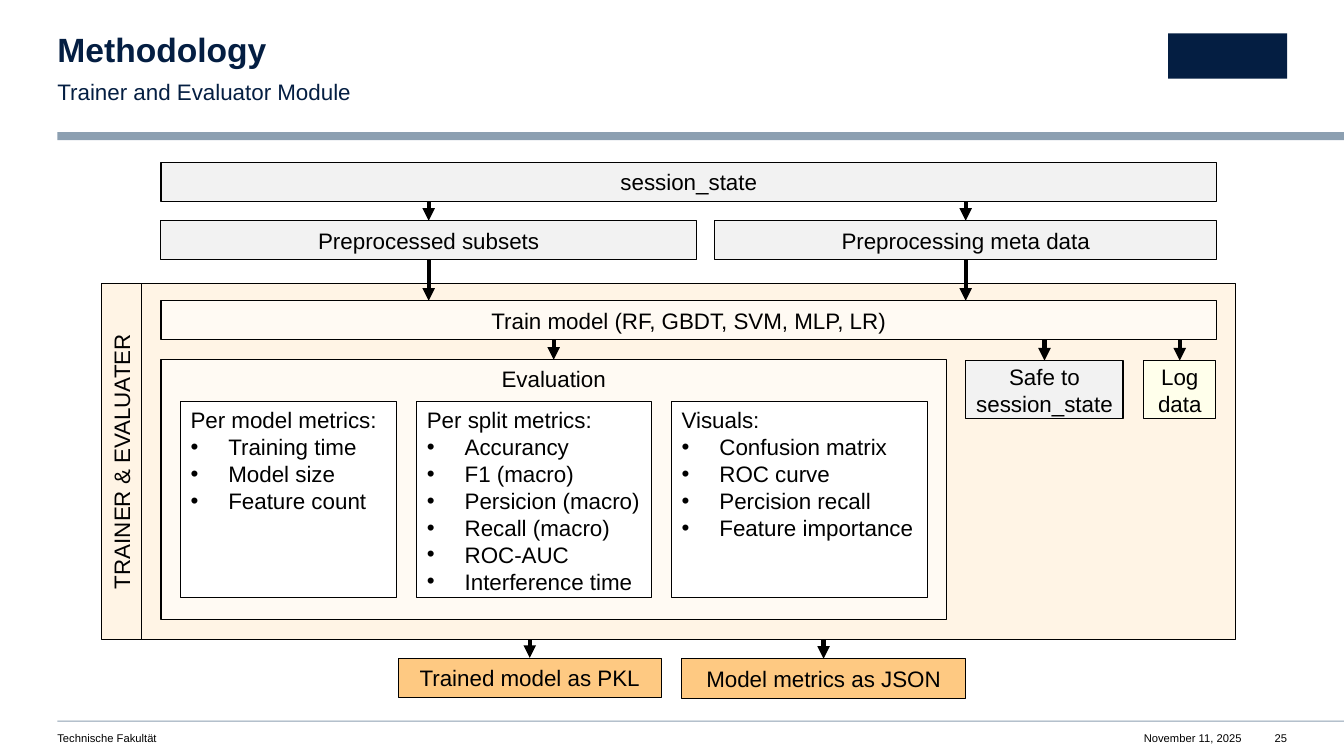
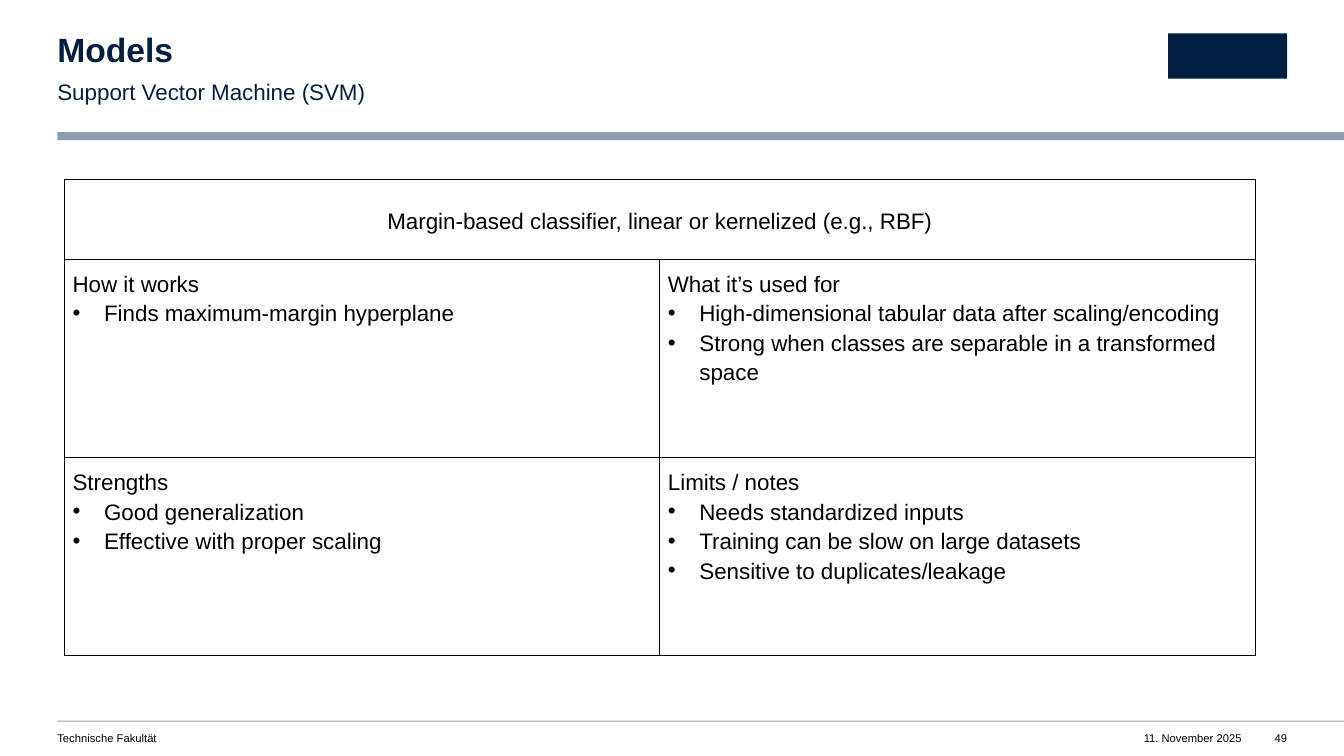
import pptx
import pptx.dml.color
import pptx.enum.shapes
import pptx.enum.text
import pptx.oxml.ns
import pptx.util
from lxml import etree

Pt = pptx.util.Pt
ALIGN = pptx.enum.text.PP_ALIGN
ANCHOR = pptx.enum.text.MSO_ANCHOR

FONT = "Arial"
BLACK, NAVY, STEEL = "000000", "041E42", "8C9FB1"
GREY, CREAM, PEACH, ORANGE = "F2F2F2", "FFFAF3", "FFF4E5", "FEC982"
YELLOW, WHITE = "FFFFEB", "FFFFFF"

PAGE_WIDTH, PAGE_HEIGHT = 960, 540
MARGIN = 41
RIGHT_EDGE = 919.4
FACULTY = "Technische Fakultät"

# name: (lines, left, top, width, height, fill)
FLOW_BOXES = {
    "module": ([], 100.8, 202.3, 782, 254.7, PEACH),
    "session": (["session_state"], 115, 116, 754, 28, GREY),
    "subsets": (["Preprocessed subsets"], 115, 157.7, 382.4, 28, GREY),
    "meta": (["Preprocessing meta data"], 510.4, 157.7, 358.8, 28, GREY),
    "train": (["Train model (RF, GBDT, SVM, MLP, LR)"], 115, 214.8, 754, 28, CREAM),
    "evaluation": (["Evaluation"], 115, 257, 561, 185.6, CREAM),
    "save": (["Safe to", "session_state"], 690, 257.6, 112.2, 41.6, GREY),
    "log": (["Log data"], 816.8, 257.6, 51.8, 41.6, YELLOW),
    "pickle": (["Trained model as PKL"], 284.4, 470, 188, 28.2, ORANGE),
    "json": (["Model metrics as JSON"], 486.8, 470.6, 203, 28.2, ORANGE),
}
SIDE_LABEL = "TRAINER & EVALUATER"
SIDE_WIDTH = 28.4

# (upper box, lower box, the box whose centre the arrow follows)
FLOW_ARROWS = [
    ("session", "subsets", "subsets"),
    ("session", "meta", "meta"),
    ("subsets", "train", "subsets"),
    ("meta", "train", "meta"),
    ("train", "evaluation", "evaluation"),
    ("train", "save", "save"),
    ("train", "log", "log"),
    ("module", "pickle", "pickle"),
    ("module", "json", "json"),
]

# (width, heading, bullets)
METRICS = [
    (154.4, "Per model metrics:", ["Training time", "Model size", "Feature count"]),
    (167.6, "Per split metrics:", ["Accurancy", "F1 (macro)", "Persicion (macro)",
                                   "Recall (macro)", "ROC-AUC", "Interference time"]),
    (182.4, "Visuals:", ["Confusion matrix", "ROC curve", "Percision recall",
                         "Feature importance"]),
]
METRIC_LEFT, METRIC_TOP, METRIC_HEIGHT, METRIC_GAP = 129, 286.8, 140, 14.4

SVM_SUMMARY = "Margin-based classifier, linear or kernelized (e.g., RBF)"
SVM_CELLS = [
    ("How it works", ["Finds maximum-margin hyperplane"]),
    ("What it’s used for", ["High-dimensional tabular data after scaling/encoding",
                            "Strong when classes are separable in a transformed space"]),
    ("Strengths", ["Good generalization", "Effective with proper scaling"]),
    ("Limits / notes", ["Needs standardized inputs",
                        "Training can be slow on large datasets",
                        "Sensitive to duplicates/leakage"]),
]
GRID_LEFT, GRID_TOP, SUMMARY_HEIGHT = 46.2, 128.2, 57
CELL_WIDTH, CELL_HEIGHT = 425.2, 141.6


def color(value):
    return pptx.dml.color.RGBColor.from_string(value)


def set_bullet(para, indent):
    """Hang a bullet by indent points, or clear the inherited one when it is 0."""
    properties = para._p.get_or_add_pPr()
    properties.set("marL", str(int(Pt(indent))))
    properties.set("indent", str(-int(Pt(indent))))
    if indent:
        etree.SubElement(properties, pptx.oxml.ns.qn("a:buFont"), typeface=FONT)
        etree.SubElement(properties, pptx.oxml.ns.qn("a:buChar"), char="•")
    else:
        etree.SubElement(properties, pptx.oxml.ns.qn("a:buNone"))


def write(shape, lines, bullets=(), size=16, ink=BLACK, bold=False, align=ALIGN.LEFT,
          anchor=ANCHOR.TOP, insets=(7.2, 3.6, 7.2, 3.6), spacing=1.0, indent=27):
    """Write plain lines followed by bulleted ones."""
    frame = shape.text_frame
    frame.word_wrap = True
    frame.auto_size = pptx.enum.text.MSO_AUTO_SIZE.NONE
    frame.vertical_anchor = anchor
    (frame.margin_left, frame.margin_top,
     frame.margin_right, frame.margin_bottom) = map(Pt, insets)
    entries = [(line, 0) for line in lines] + [(line, indent) for line in bullets]
    for number, (line, hang) in enumerate(entries):
        para = frame.add_paragraph() if number else frame.paragraphs[0]
        set_bullet(para, hang)
        para.alignment = align
        para.line_spacing = spacing
        para.space_before = Pt(0)
        span = para.add_run()
        span.text = line
        span.font.name = FONT
        span.font.size = Pt(size)
        span.font.bold = bold
        span.font.color.rgb = color(ink)


def add_box(page, left, top, width, height, fill=None, outline=BLACK):
    box = page.shapes.add_shape(pptx.enum.shapes.MSO_SHAPE.RECTANGLE,
                                Pt(left), Pt(top), Pt(width), Pt(height))
    box.shadow.inherit = False
    if fill:
        box.fill.solid()
        box.fill.fore_color.rgb = color(fill)
    else:
        box.fill.background()
    if outline:
        box.line.color.rgb = color(outline)
        box.line.width = Pt(0.75)
    else:
        box.line.fill.background()
    return box


def add_arrow(page, upper, lower, guide):
    """Point straight down from upper to lower at the centre of guide."""
    x = guide.left + guide.width // 2
    arrow = page.shapes.add_connector(pptx.enum.shapes.MSO_CONNECTOR.STRAIGHT,
                                      x, upper.top + upper.height, x, lower.top)
    if guide is upper:
        arrow.begin_connect(upper, 2)
    else:
        arrow.end_connect(lower, 0)
    arrow.line.color.rgb = color(BLACK)
    arrow.line.width = Pt(3)
    etree.SubElement(arrow.line._get_or_add_ln(), pptx.oxml.ns.qn("a:tailEnd"),
                     type="triangle")
    etree.SubElement(arrow._element.spPr, pptx.oxml.ns.qn("a:effectLst"))


def add_page(deck, title, subtitle, date, number):
    page = deck.slides.add_slide(deck.slide_layouts[1])
    for top, height in ((94.3, 5.8), (514.8, 0.7)):
        add_box(page, MARGIN, top, PAGE_WIDTH - MARGIN, height, STEEL, None)
    add_box(page, RIGHT_EDGE - 85, 23.8, 85, 32.4, NAVY, None)

    headings = [
        (page.shapes.title, title, 23.8, 26, dict(size=24, bold=True, spacing=0.9)),
        (page.placeholders[1], subtitle, 54, 19.4, dict(spacing=1.1)),
    ]
    for holder, text, top, height, style in headings:
        holder.left, holder.top = Pt(MARGIN), Pt(top)
        holder.width, holder.height = Pt(539), Pt(height)
        write(holder, [text], ink=NAVY, insets=(0, 0, 0, 0), **style)

    footers = [
        (FACULTY, MARGIN, 430, ALIGN.LEFT),
        (date, 767, 120, ALIGN.RIGHT),
        (number, RIGHT_EDGE - 30, 30, ALIGN.RIGHT),
    ]
    for text, left, width, align in footers:
        footer = page.shapes.add_textbox(Pt(left), Pt(522.7), Pt(width), Pt(9.4))
        write(footer, [text], size=8, align=align, insets=(0, 0, 0, 0))
    return page


def draw_flow(page):
    boxes = {}
    for name, (lines, left, top, width, height, fill) in FLOW_BOXES.items():
        box = boxes[name] = add_box(page, left, top, width, height, fill)
        write(box, lines, align=ALIGN.CENTER,
              anchor=ANCHOR.TOP if name == "evaluation" else ANCHOR.MIDDLE,
              insets=(0, 3.6, 0, 3.6) if name == "save" else (7.2, 3.6, 7.2, 3.6))

    _, left, top, _, height, _ = FLOW_BOXES["module"]
    side = add_box(page, left - (SIDE_WIDTH + height) / 2 - SIDE_WIDTH / 2 + SIDE_WIDTH / 2,
                   top + (height - SIDE_WIDTH) / 2, height, SIDE_WIDTH, PEACH)
    side.rotation = 270
    write(side, [SIDE_LABEL], align=ALIGN.CENTER, anchor=ANCHOR.MIDDLE)

    left = METRIC_LEFT
    for width, heading, bullets in METRICS:
        metric = add_box(page, left, METRIC_TOP, width, METRIC_HEIGHT, WHITE)
        write(metric, [heading], bullets)
        left += width + METRIC_GAP

    for upper, lower, guide in FLOW_ARROWS:
        add_arrow(page, boxes[upper], boxes[lower], boxes[guide])


def draw_svm(page):
    summary = add_box(page, GRID_LEFT, GRID_TOP, 2 * CELL_WIDTH, SUMMARY_HEIGHT)
    write(summary, [SVM_SUMMARY], align=ALIGN.CENTER, anchor=ANCHOR.MIDDLE,
          insets=(14.4,) * 4, spacing=1.1)
    for number, (heading, bullets) in enumerate(SVM_CELLS):
        row, column = divmod(number, 2)
        cell = add_box(page, GRID_LEFT + column * CELL_WIDTH,
                       GRID_TOP + SUMMARY_HEIGHT + row * CELL_HEIGHT,
                       CELL_WIDTH, CELL_HEIGHT)
        write(cell, [heading], bullets, insets=(5.7,) * 4, spacing=1.1, indent=22.5)


def main():
    deck = pptx.Presentation()
    deck.slide_width, deck.slide_height = Pt(PAGE_WIDTH), Pt(PAGE_HEIGHT)
    draw_flow(add_page(deck, "Methodology", "Trainer and Evaluator Module",
                       "November 11, 2025", "25"))
    draw_svm(add_page(deck, "Models", "Support Vector Machine (SVM)",
                      "11. November 2025", "49"))
    deck.save("out.pptx")


if __name__ == "__main__":
    main()
